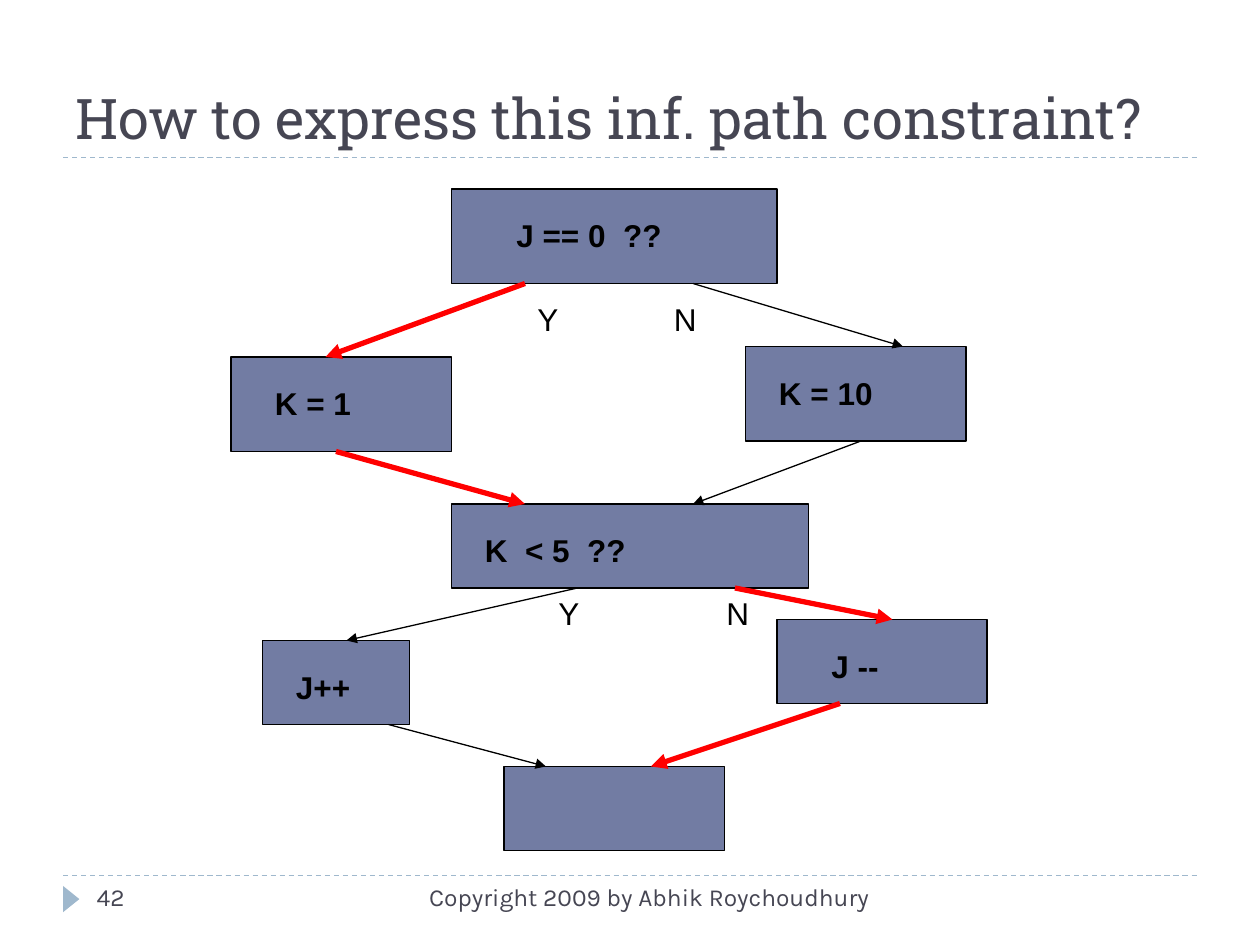
import pptx
import pptx.dml.color
import pptx.enum.dml
import pptx.enum.shapes
import pptx.enum.text
import pptx.oxml
import pptx.oxml.ns
import pptx.util

Cm = pptx.util.Cm
ALIGN = pptx.enum.text.PP_ALIGN
SHAPES = pptx.enum.shapes.MSO_SHAPE

COLOURS = {"background": "FFFFFF", "heading": "464653", "accent": "9FB8CD",
           "box": "727CA3", "ink": "000000", "path": "FF0000"}
TITLE = "How to express this inf. path constraint?"
FOOTER = "Copyright 2009 by Abhik Roychoudhury"
PAGE_NUMBER = "42"

# The flow chart sits on a grid of twelve steps to the inch.
GRID_CM = 2.54 / 12
LABEL_HEIGHT = 4.8
LABEL_DROP = 2

# name: (left, top, width, height), text, label indent, label width
BOXES = {
    "test J": ((43, 18, 31, 9), "J == 0  ??", 5, 23),
    "K is 1": ((22, 34, 21, 9), "K = 1", 3, 11),
    "K is 10": ((71, 33, 21, 9), "K = 10", 2, 16),
    "test K": ((43, 48, 34, 8), "K  < 5  ??", 2, 30),
    "increment J": ((25, 61, 14, 8), "J++", 2, 10),
    "decrement J": ((74, 59, 20, 8), "J --", 4, 13),
    "end": ((48, 73, 21, 8), "", 0, 0),
}
# source box, x at its bottom edge, target box, x at its top edge, on the infeasible path
ARROWS = [
    ("test J", 50, "K is 1", 31, True),
    ("test J", 66, "K is 10", 86, False),
    ("test K", 55, "increment J", 33, False),
    ("test K", 70, "decrement J", 85, True),
    ("K is 10", 82, "test K", 66, False),
    ("K is 1", 32, "test K", 50, True),
    ("increment J", 37, "end", 52, False),
    ("decrement J", 80, "end", 62, True),
]
# text, left, top, width
BRANCHES = [("Y", 50, 28, 5), ("N", 63, 28, 5), ("Y", 52, 56, 4), ("N", 68, 56, 5)]


def colour(name):
    return pptx.dml.color.RGBColor.from_string(COLOURS[name])


def on_grid(*steps):
    return [Cm(step * GRID_CM) for step in steps]


def format_text(shape, text, font_name, size, colour_name, bold=False, align=ALIGN.LEFT):
    shape.text_frame.word_wrap = True
    shape.text_frame.text = text
    paragraph = shape.text_frame.paragraphs[0]
    paragraph.alignment = align
    for run in paragraph.runs:
        run.font.name = font_name
        run.font.size = pptx.util.Pt(size)
        run.font.bold = bold
        run.font.color.rgb = colour(colour_name)


def add_label(slide, text, left, top, width, bold):
    label = slide.shapes.add_textbox(*on_grid(left, top, width, LABEL_HEIGHT))
    format_text(label, text, "Arial", 18, "ink", bold)


def add_box(slide, kind, place, fill_name):
    box = slide.shapes.add_shape(kind, *place)
    box.shadow.inherit = False
    box.fill.solid()
    box.fill.fore_color.rgb = colour(fill_name)
    return box


def add_line(slide, ends, colour_name, width):
    line = slide.shapes.add_connector(pptx.enum.shapes.MSO_CONNECTOR.STRAIGHT, *ends)
    line.line.color.rgb = colour(colour_name)
    line.line.width = pptx.util.Pt(width)
    pptx.oxml.ns.qn("a:effectLst")
    properties = line._element.spPr
    properties.append(properties.makeelement(pptx.oxml.ns.qn("a:effectLst"), {}))
    return line


def add_arrowhead(line):
    outline = line.line._get_or_add_ln()
    outline.append(outline.makeelement(pptx.oxml.ns.qn("a:tailEnd"), {"type": "triangle"}))


def add_frame(slide):
    """Add the title, the dashed rules and the footer row."""
    for height in (3.18, 17.65):
        rule = add_line(slide, [Cm(1.27), Cm(height), Cm(24.13), Cm(height)], "accent", 0.75)
        rule.line.dash_style = pptx.enum.dml.MSO_LINE.DASH
    marker = add_box(slide, SHAPES.ISOSCELES_TRIANGLE,
                     [Cm(1.17), Cm(17.96), Cm(0.53), Cm(0.33)], "accent")
    marker.rotation = 90
    marker.line.fill.background()

    title = slide.shapes.title
    title.left, title.top, title.width, title.height = Cm(1.27), Cm(0.43), Cm(23.29), Cm(2.74)
    format_text(title, TITLE, "Roboto Slab", 32, "heading")
    title.text_frame.vertical_anchor = pptx.enum.text.MSO_ANCHOR.BOTTOM

    for text, left, width, align in ((FOOTER, 8.05, 9.73, ALIGN.RIGHT),
                                     (PAGE_NUMBER, 1.7, 5.51, ALIGN.LEFT)):
        note = slide.shapes.add_textbox(Cm(left), Cm(17.65), Cm(width), Cm(1.02))
        format_text(note, text, "Karla", 14, "heading", align=align)


def add_flow_chart(slide):
    for place, *_ in BOXES.values():
        box = add_box(slide, SHAPES.RECTANGLE, on_grid(*place), "box")
        box.line.color.rgb = colour("ink")
        box.line.width = pptx.util.Pt(0.75)

    for source, start_x, target, end_x, on_path in ARROWS:
        _, source_top, _, source_height = BOXES[source][0]
        target_top = BOXES[target][0][1]
        ends = on_grid(start_x, source_top + source_height, end_x, target_top)
        add_arrowhead(add_line(slide, ends, *(("path", 3) if on_path else ("ink", 0.75))))

    for (left, top, _, _), text, indent, width in BOXES.values():
        if text:
            add_label(slide, text, left + indent, top + LABEL_DROP, width, True)
    for text, left, top, width in BRANCHES:
        add_label(slide, text, left, top, width, False)


def main():
    presentation = pptx.Presentation()
    presentation.slide_width, presentation.slide_height = Cm(25.4), Cm(19.05)
    slide = presentation.slides.add_slide(presentation.slide_layouts.get_by_name("Title Only"))
    slide.background.fill.solid()
    slide.background.fill.fore_color.rgb = colour("background")
    add_frame(slide)
    add_flow_chart(slide)
    presentation.save("out.pptx")


if __name__ == "__main__":
    main()
